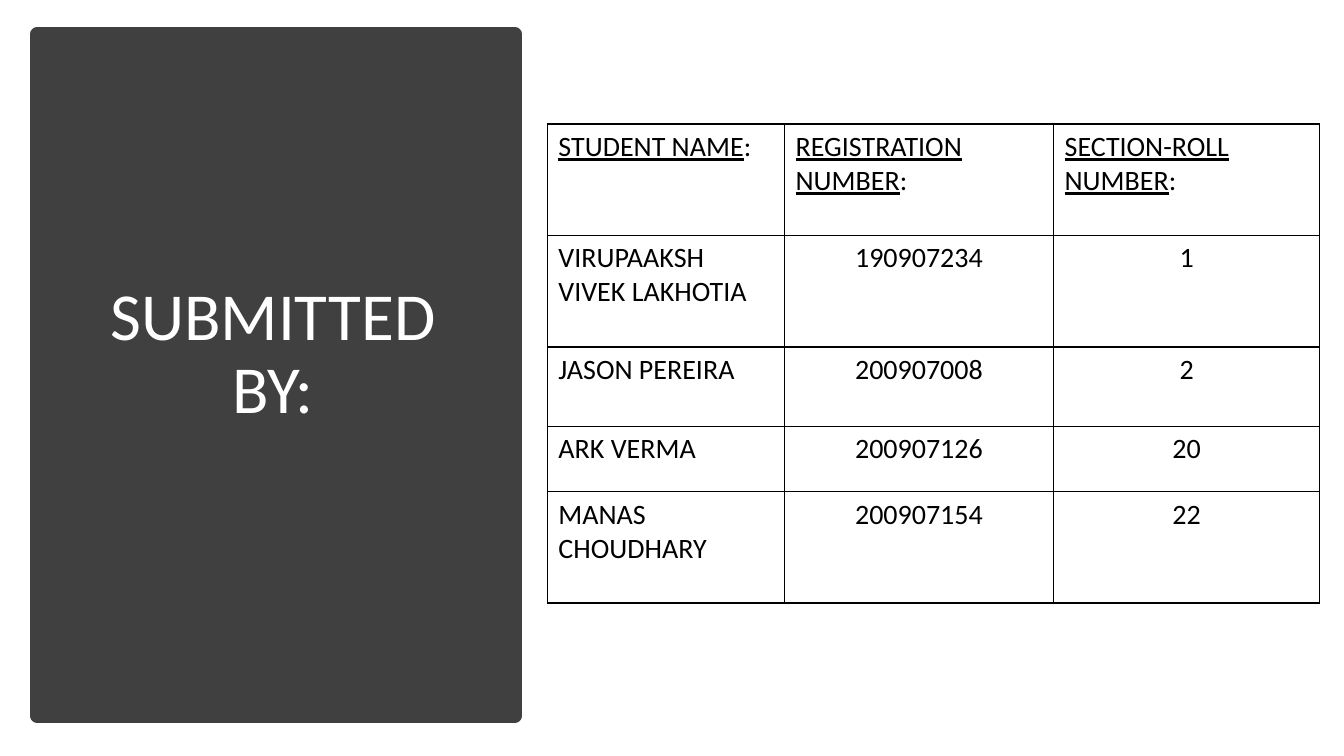
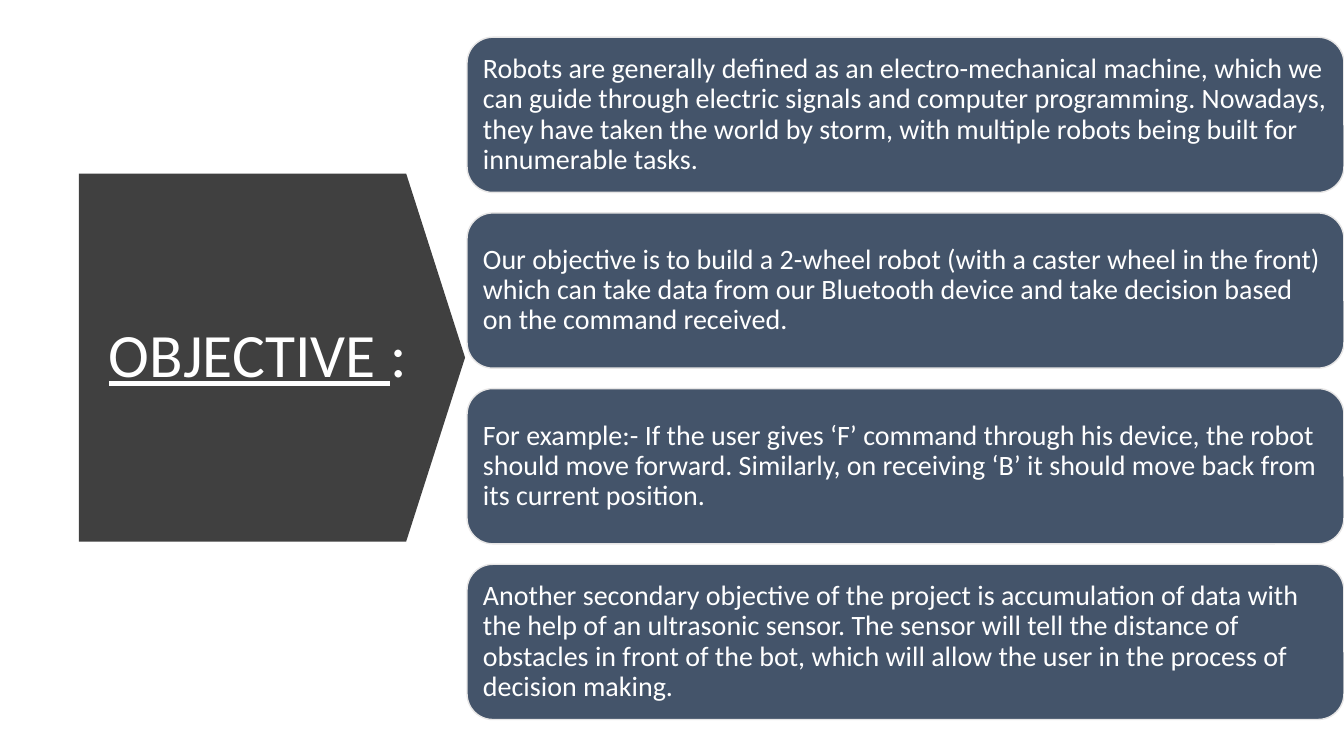
from lxml import etree
from pptx import Presentation
from pptx.dml.color import RGBColor
from pptx.enum.shapes import MSO_SHAPE
from pptx.enum.text import MSO_ANCHOR, PP_ALIGN
from pptx.oxml.ns import qn
from pptx.util import Pt

RECT, ROUND, ARROW = MSO_SHAPE.RECTANGLE, MSO_SHAPE.ROUNDED_RECTANGLE, MSO_SHAPE.PENTAGON
LEFT, CENTER = PP_ALIGN.LEFT, PP_ALIGN.CENTER
MIDDLE = MSO_ANCHOR.MIDDLE

FONT = "Calibri"
DARK, SLATE, PALE, WHITE, BLACK = "404040", "44546A", "E7E6E6", "FFFFFF", "000000"
BODY_SIZE = 20

SUBMITTED = {
    "title": [("SUBMITTED BY:", False)],
    "size": 48,
    "title_box": (58.3, 58.3, 273.6, 391),
    "panel": (RECT, (26.6, 24.5, 341.3, 486.7), DARK, DARK, 10),
}
OBJECTIVE = {
    "title": [("OBJECTIVE ", True), (":", False)],
    "size": 44,
    "title_box": (52, 154.8, 264.2, 200.9),
    "panel": (ARROW, (56.4, 124, 275.8, 262.8), DARK),
}

HEADERS = ["STUDENT NAME", "REGISTRATION NUMBER", "SECTION-ROLL NUMBER"]
STUDENTS = [
    ("VIRUPAAKSH VIVEK LAKHOTIA", "190907234", "1"),
    ("JASON PEREIRA", "200907008", "2"),
    ("ARK VERMA", "200907126", "20"),
    ("MANAS CHOUDHARY", "200907154", "22"),
]
TABLE_AT = (391, 88.6)
COLUMNS = [169.4, 192.2, 190.1]
ROWS = [79.4, 79.9, 56.6, 46.9, 79.4]
CELL_MARGINS = {"margin_left": 7.9, "margin_right": 7.9, "margin_top": 4, "margin_bottom": 4}

GOALS = [
    "Robots are generally defined as an electro-mechanical machine, which we can guide through "
    "electric signals and computer programming. Nowadays, they have taken the world by storm, "
    "with multiple robots being built for innumerable tasks.",
    "Our objective is to build a 2-wheel robot (with a caster wheel in the front) which can take "
    "data from our Bluetooth device and take decision based on the command received.",
    "For example:- If the user gives ‘F’ command through his device, the robot should move "
    "forward. Similarly, on receiving ‘B’ it should move back from its current position.",
    "Another secondary objective of the project is accumulation of data with the help of an "
    "ultrasonic sensor. The sensor will tell the distance of obstacles in front of the bot, "
    "which will allow the user in the process of decision making.",
]
CARD_LEFT, CARD_TOP, CARD_W, CARD_H, CARD_GAP = 333.6, 26.6, 626.4, 110.9, 14.6
CARD_MARGINS = {"margin_left": 6, "margin_right": 6, "margin_top": 6, "margin_bottom": 6}


def rgb(value):
    return RGBColor.from_string(value)


def apply(target, values):
    for name, value in values.items():
        setattr(target, name, value)


def set_margins(target, margins):
    apply(target, {name: Pt(value) for name, value in margins.items()})


def write(tf, runs, size, color, align=LEFT, spacing=None):
    p = tf.paragraphs[0]
    apply(p, {"alignment": align, "line_spacing": spacing})
    for text, underline in runs:
        r = p.add_run()
        r.text = text
        apply(r.font, {"name": FONT, "size": Pt(size), "underline": underline})
        r.font.color.rgb = rgb(color)


def add_panel(s, kind, box, fill, line=None, width=1):
    sp = s.shapes.add_shape(kind, *map(Pt, box))
    sp.shadow.inherit = False
    sp.fill.solid()
    sp.fill.fore_color.rgb = rgb(fill)
    if line:
        sp.line.color.rgb = rgb(line)
        sp.line.width = Pt(width)
    else:
        sp.line.fill.background()
    return sp


def add_titled_slide(prs, content):
    s = prs.slides.add_slide(prs.slide_layouts[6])
    panel = add_panel(s, *content["panel"])
    if content["panel"][0] == ARROW:
        panel.adjustments[0] = 0.16
    tf = s.shapes.add_textbox(*map(Pt, content["title_box"])).text_frame
    apply(tf, {"word_wrap": True, "vertical_anchor": MIDDLE})
    write(tf, content["title"], content["size"], WHITE, CENTER, 0.9)
    return s


def add_borders(cell, color, width):
    tc_pr = cell._tc.get_or_add_tcPr()
    for side in ("a:lnL", "a:lnR", "a:lnT", "a:lnB"):
        ln = etree.SubElement(tc_pr, qn(side), w=str(Pt(width)))
        fill = etree.SubElement(ln, qn("a:solidFill"))
        etree.SubElement(fill, qn("a:srgbClr"), val=color)


def add_students(s):
    grid = [[[(h, True), (":", False)] for h in HEADERS]]
    grid += [[[(text, False)] for text in student] for student in STUDENTS]
    box = (*TABLE_AT, sum(COLUMNS), sum(ROWS))
    table = s.shapes.add_table(len(ROWS), len(COLUMNS), *map(Pt, box)).table
    for column, width in zip(table.columns, COLUMNS):
        column.width = Pt(width)
    for i, (row, height) in enumerate(zip(table.rows, ROWS)):
        row.height = Pt(height)
        for j, cell in enumerate(row.cells):
            set_margins(cell, CELL_MARGINS)
            add_borders(cell, BLACK, 1)
            cell.fill.solid()
            cell.fill.fore_color.rgb = rgb(WHITE)
            align = CENTER if i and j else LEFT
            write(cell.text_frame, grid[i][j], BODY_SIZE, BLACK, align)


def add_goals(s):
    for i, goal in enumerate(GOALS):
        top = CARD_TOP + i * (CARD_H + CARD_GAP)
        card = add_panel(s, ROUND, (CARD_LEFT, top, CARD_W, CARD_H), SLATE, PALE)
        tf = card.text_frame
        apply(tf, {"word_wrap": True, "vertical_anchor": MIDDLE})
        set_margins(tf, CARD_MARGINS)
        write(tf, [(goal, False)], BODY_SIZE, WHITE, LEFT, 0.9)


def main():
    """Build the two slides and save them."""
    prs = Presentation()
    apply(prs, {"slide_width": Pt(960), "slide_height": Pt(540)})
    add_students(add_titled_slide(prs, SUBMITTED))
    add_goals(add_titled_slide(prs, OBJECTIVE))
    prs.save("out.pptx")


if __name__ == "__main__":
    main()
